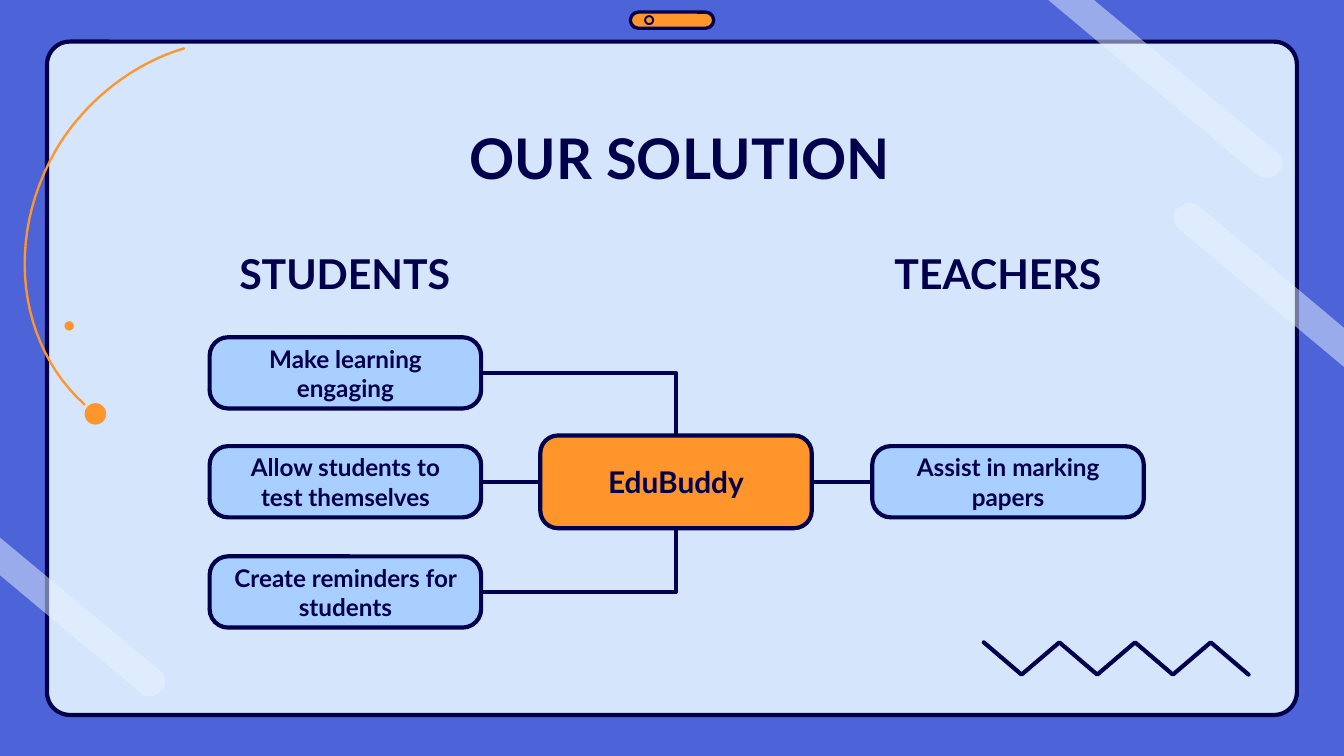
from dataclasses import dataclass

from lxml import etree
from pptx import Presentation
from pptx.dml.color import RGBColor
from pptx.enum import shapes, text
from pptx.oxml import ns
from pptx.util import Inches, Pt


@dataclass(frozen=True)
class Theme:
    font: str = "Lato"
    backdrop: str = "4C64D8"
    panel: str = "D5E6FC"
    ink: str = "00004D"
    accent: str = "FF952B"
    node: str = "A8CFFF"
    stripe: str = "E9F3FF"
    title_size: int = 30
    heading_size: int = 22
    hub_size: int = 16
    node_size: int = 13
    line: float = 2.25


THEME = Theme()
ROUNDED = shapes.MSO_SHAPE.ROUNDED_RECTANGLE
OVAL = shapes.MSO_SHAPE.OVAL
TOP, LEFT, BOTTOM, RIGHT = range(4)  # connection sites

# Outlines: a start point, then segments; pairs are lines, sixes are Bezier curves.
STRIPES = [
    [(7.8, 0), (9.35, 1.3), (9.38, 1.32, 9.41, 1.32, 9.43, 1.32),
     (9.46, 1.32, 9.5, 1.31, 9.51, 1.28), (9.56, 1.25, 9.55, 1.17, 9.51, 1.14), (8.14, 0)],
    [(1.11, 5.18), (1.15, 5.18, 1.17, 5.17, 1.2, 5.14), (1.24, 5.11, 1.24, 5.03, 1.19, 4.99),
     (0, 4), (0, 4.28), (1.04, 5.15), (1.05, 5.17, 1.08, 5.18, 1.11, 5.18)],
    [(8.86, 1.51), (8.82, 1.51, 8.79, 1.53, 8.76, 1.55), (8.72, 1.59, 8.72, 1.67, 8.78, 1.71),
     (10, 2.73), (10, 2.44), (8.93, 1.54), (8.91, 1.53, 8.89, 1.51, 8.86, 1.51)],
]
ARC = [(0.63, 3.01), (0.14, 2.57, 0.03, 1.78, 0.42, 1.11), (0.64, 0.74, 1, 0.47, 1.37, 0.36)]
ZIGZAG = [(7.32 + 1.97 * i / 7, 5.02 if i % 2 else 4.78) for i in range(8)]


def rgb(color):
    return RGBColor.from_string(color)


def paint(shape, fill=None, line=None, width=THEME.line):
    shape.shadow.inherit = False
    if fill:
        shape.fill.solid()
        shape.fill.fore_color.rgb = rgb(fill)
    else:
        shape.fill.background()
    if line:
        shape.line.color.rgb = rgb(line)
        shape.line.width = Pt(width)
    else:
        shape.line.fill.background()


def add_preset(page, kind, place, corner=None, **look):
    shape = page.shapes.add_shape(kind, *map(Inches, place))
    if corner is not None:
        shape.adjustments[0] = corner
    paint(shape, **look)
    return shape


def flatten(outline, steps=24):
    """Turn an outline of lines and cubic curves into plain points."""
    points = [outline[0]]
    for segment in outline[1:]:
        if len(segment) == 2:
            points.append(segment)
            continue
        a, b, c, d = points[-1], segment[:2], segment[2:4], segment[4:]
        for step in range(1, steps + 1):
            t = step / steps
            u = 1 - t
            points.append(tuple(
                u**3 * a[k] + 3 * u * u * t * b[k] + 3 * u * t * t * c[k] + t**3 * d[k]
                for k in (0, 1)))
    return points


def add_outline(page, outline, close=False, **look):
    points = [(Inches(x), Inches(y)) for x, y in flatten(outline)]
    builder = page.shapes.build_freeform(*points[0])
    builder.add_line_segments(points[1:], close=close)
    shape = builder.convert_to_shape()
    paint(shape, **look)
    if not close:
        line = shape.element.spPr.find(ns.qn("a:ln"))
        line.set("cap", "rnd")
        etree.SubElement(line, ns.qn("a:round"))
    return shape


def set_alpha(shape, percent):
    color = shape.element.spPr.find(".//" + ns.qn("a:srgbClr"))
    etree.SubElement(color, ns.qn("a:alpha"), val=str(percent * 1000))


def write(shape, words, size):
    frame = shape.text_frame
    frame.word_wrap = True
    frame.auto_size = text.MSO_AUTO_SIZE.NONE
    frame.vertical_anchor = text.MSO_ANCHOR.MIDDLE
    frame.margin_left = frame.margin_right = Inches(0.1)
    frame.margin_top = frame.margin_bottom = Inches(0.1)
    para = frame.paragraphs[0]
    para.alignment = text.PP_ALIGN.CENTER
    span = para.add_run()
    span.text = words
    span.font.name = THEME.font
    span.font.size = Pt(size)
    span.font.bold = True
    span.font.color.rgb = rgb(THEME.ink)


def add_heading(page, words, left):
    box = page.shapes.add_textbox(*map(Inches, (left, 1.66, 2.17, 0.75)))
    write(box, words, THEME.heading_size)


def add_node(page, words, left, top, height=0.53, fill=THEME.node,
             size=THEME.node_size, corner=0.26):
    node = add_preset(page, ROUNDED, (left, top, 2.02, height), corner,
                      fill=fill, line=THEME.ink)
    write(node, words, size)
    return node


def connect(page, start, start_site, end, end_site):
    link = page.shapes.add_connector(shapes.MSO_CONNECTOR.ELBOW, 0, 0, 0, 0)
    link.begin_connect(start, start_site)
    link.end_connect(end, end_site)
    link.line.color.rgb = rgb(THEME.ink)
    link.line.width = Pt(THEME.line)
    if end_site in (TOP, BOTTOM):  # a single corner
        link.element.spPr.find(ns.qn("a:prstGeom")).set("prst", "bentConnector2")
    etree.SubElement(link.element.spPr, ns.qn("a:effectLst"))


def add_decoration(page):
    add_preset(page, ROUNDED, (0.35, 0.31, 9.3, 5.01), 0.034, fill=THEME.panel, line=THEME.ink)
    add_preset(page, ROUNDED, (4.69, 0.09, 0.62, 0.12), 0.5, fill=THEME.accent,
               line=THEME.ink, width=1.75)
    add_preset(page, OVAL, (4.8, 0.12, 0.06, 0.06), line=THEME.ink, width=1)
    add_outline(page, ARC, line=THEME.accent, width=1.25)
    add_preset(page, OVAL, (0.48, 2.39, 0.07, 0.07), fill=THEME.accent)
    add_preset(page, OVAL, (0.63, 3, 0.16, 0.16), fill=THEME.accent)
    for outline in STRIPES:
        set_alpha(add_outline(page, outline, close=True, fill=THEME.stripe), 50)
    add_outline(page, ZIGZAG, line=THEME.ink)


def add_diagram(page):
    hub = add_node(page, "EduBuddy", 4.02, 3.24, height=0.69, fill=THEME.accent,
                   size=THEME.hub_size, corner=0.19)
    benefits = [("Make learning engaging", 2.51, TOP),
                ("Allow students to test themselves", 3.32, LEFT),
                ("Create reminders for students", 4.14, BOTTOM)]
    for words, top, site in benefits:
        node = add_node(page, words, 1.56, top)
        connect(page, node, RIGHT, hub, site)
    teacher = add_node(page, "Assist in marking papers", 6.49, 3.32)
    connect(page, hub, RIGHT, teacher, LEFT)


def add_title(page, words):
    """Place the title and bring it in front of the panel."""
    title = page.shapes.title
    title.left, title.top, title.width, title.height = map(Inches, (1.51, 0.63, 7.1, 1.08))
    write(title, words, THEME.title_size)
    title.element.getparent().append(title.element)


def main():
    deck = Presentation()
    deck.slide_width = Inches(10)
    deck.slide_height = deck.slide_width * 9 // 16
    page = deck.slides.add_slide(deck.slide_layouts.get_by_name("Title Only"))
    page.background.fill.solid()
    page.background.fill.fore_color.rgb = rgb(THEME.backdrop)
    add_decoration(page)
    add_diagram(page)
    add_heading(page, "STUDENTS", 1.48)
    add_heading(page, "TEACHERS", 6.34)
    add_title(page, "OUR SOLUTION")
    deck.save("out.pptx")


if __name__ == "__main__":
    main()
